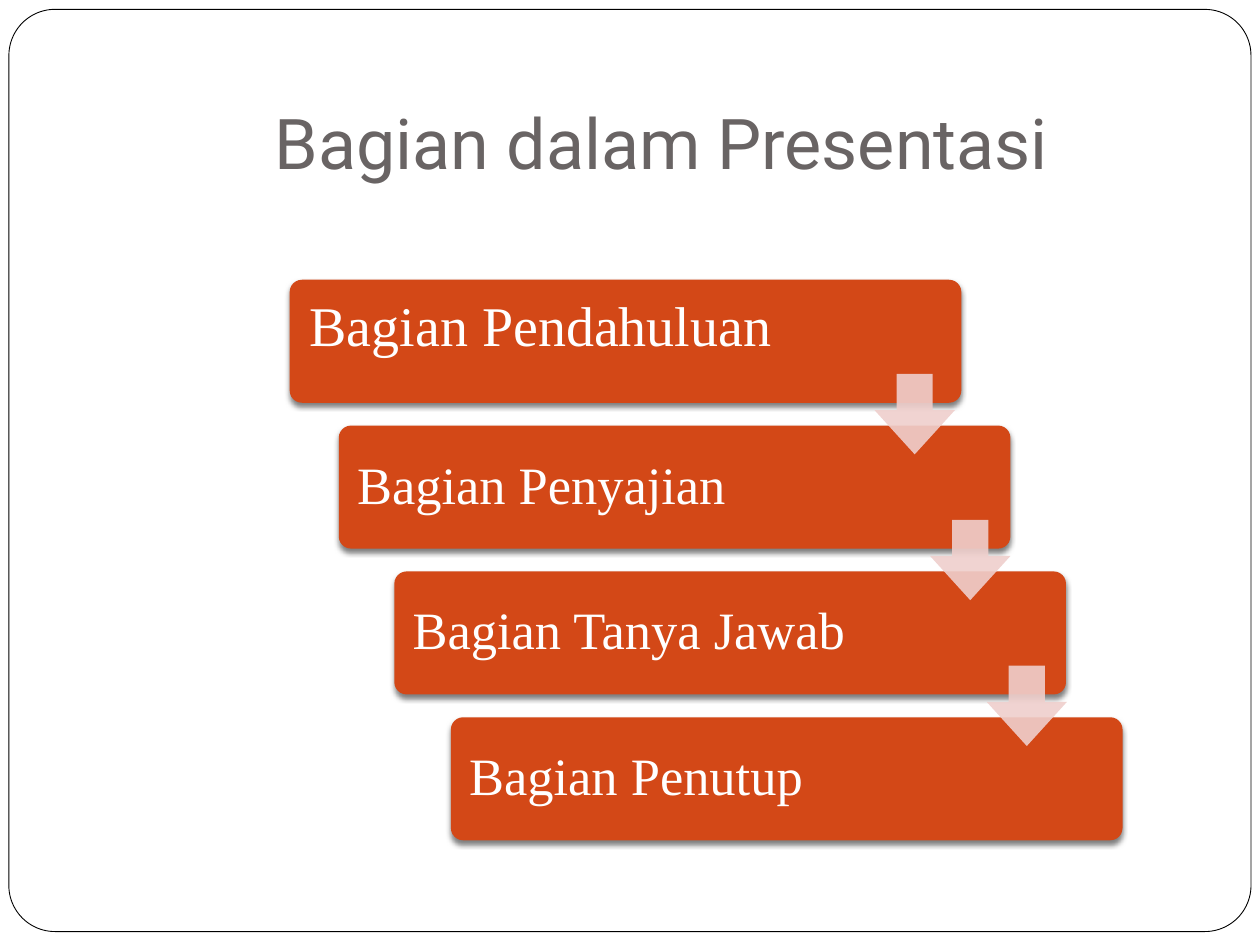
from dataclasses import dataclass

from lxml.etree import SubElement
from pptx import Presentation
from pptx.dml.color import RGBColor
from pptx.enum.shapes import MSO_SHAPE
from pptx.enum.text import MSO_ANCHOR, PP_ALIGN
from pptx.oxml.ns import qn
from pptx.shapes.autoshape import Shape
from pptx.slide import Slide
from pptx.util import Cm, Pt

WHITE = RGBColor(0xFF, 0xFF, 0xFF)
BLACK = RGBColor(0x00, 0x00, 0x00)
GRAY = RGBColor(0x69, 0x64, 0x64)
ORANGE = RGBColor(0xD3, 0x48, 0x17)
PINK = RGBColor(0xEF, 0xCF, 0xCC)

STEP_TOP, STEP_PITCH = 5.64, 2.94
STEP_WIDTH, STEP_HEIGHT = 13.54, 2.48
STEP_PADDING = 0.07
ARROW_SIZE = 1.62
ARROW_SHIFT, ARROW_DROP = 10.8, 1.9


@dataclass(frozen=True)
class Box:
    left: float
    top: float
    width: float
    height: float

    def lengths(self) -> tuple[Cm, Cm, Cm, Cm]:
        return Cm(self.left), Cm(self.top), Cm(self.width), Cm(self.height)


@dataclass(frozen=True)
class Step:
    text: str
    left: float
    size: int = 30
    inset: float = 0.3
    top_inset: float = 0.3
    line_spacing: float = 0.9
    anchor: MSO_ANCHOR = MSO_ANCHOR.MIDDLE


STEPS = [
    Step("Bagian Pendahuluan", 5.84, size=32, inset=0.33, top_inset=0.15,
         line_spacing=1.0, anchor=MSO_ANCHOR.TOP),
    Step("Bagian Penyajian", 6.83),
    Step("Bagian Tanya Jawab", 7.95),
    Step("Bagian Penutup", 9.09),
]


def add_filled_shape(slide: Slide, kind: MSO_SHAPE, box: Box, fill: RGBColor,
                     adjustments: list[float]) -> Shape:
    shape = slide.shapes.add_shape(kind, *box.lengths())
    shape.shadow.inherit = False
    shape.fill.solid()
    shape.fill.fore_color.rgb = fill
    shape.line.fill.background()
    for index, value in enumerate(adjustments):
        shape.adjustments[index] = value
    return shape


def add_text(slide: Slide, text: str, box: Box, *, font: str, size: int,
             color: RGBColor, alignment: PP_ALIGN, anchor: MSO_ANCHOR,
             insets: tuple[float, float, float, float],
             line_spacing: float = 1.0) -> None:
    frame = slide.shapes.add_textbox(*box.lengths()).text_frame
    frame.word_wrap = True
    frame.vertical_anchor = anchor
    (frame.margin_left, frame.margin_top,
     frame.margin_right, frame.margin_bottom) = map(Cm, insets)
    paragraph = frame.paragraphs[0]
    paragraph.alignment = alignment
    paragraph.line_spacing = line_spacing
    run = paragraph.add_run()
    run.text = text
    run.font.name = font
    run.font.size = Pt(size)
    run.font.color.rgb = color


def add_drop_shadow(shape: Shape) -> None:
    effects = shape.element.spPr.find(qn("a:effectLst"))
    shadow = SubElement(effects, qn("a:outerShdw"), blurRad=str(Pt(3)),
                        dist=str(Pt(2)), dir="5400000", rotWithShape="0")
    color = SubElement(shadow, qn("a:srgbClr"), val=str(BLACK))
    SubElement(color, qn("a:alpha"), val="50000")


def add_step(slide: Slide, step: Step, top: float) -> None:
    box = Box(step.left, top, STEP_WIDTH, STEP_HEIGHT)
    shape = add_filled_shape(slide, MSO_SHAPE.ROUNDED_RECTANGLE, box, ORANGE, [0.1])
    add_drop_shadow(shape)
    text_box = Box(step.left + STEP_PADDING, top + STEP_PADDING,
                   10.66, STEP_HEIGHT - 2 * STEP_PADDING)
    add_text(slide, step.text, text_box, font="Times New Roman", size=step.size,
             color=WHITE, alignment=PP_ALIGN.LEFT, anchor=step.anchor,
             insets=(step.inset, step.top_inset, step.inset, step.inset),
             line_spacing=step.line_spacing)


def add_step_arrow(slide: Slide, next_step: Step, top: float) -> None:
    box = Box(next_step.left + ARROW_SHIFT, top + ARROW_DROP, ARROW_SIZE, ARROW_SIZE)
    arrow = add_filled_shape(slide, MSO_SHAPE.DOWN_ARROW, box, PINK, [0.45, 0.55])
    color = arrow.element.spPr.find(qn("a:solidFill")).find(qn("a:srgbClr"))
    SubElement(color, qn("a:alpha"), val="90000")


def main() -> None:
    presentation = Presentation()
    presentation.slide_width = Cm(25.4)
    presentation.slide_height = Cm(19.05)
    slide = presentation.slides.add_slide(presentation.slide_layouts[6])

    border = add_filled_shape(slide, MSO_SHAPE.ROUNDED_RECTANGLE,
                              Box(0.18, 0.19, 25.04, 18.59), WHITE, [0.05])
    border.line.color.rgb = BLACK
    border.line.width = Pt(0.5)

    add_text(slide, "Bagian dalam Presentasi", Box(2.54, 0.76, 21.59, 3.18),
             font="Roboto", size=40, color=GRAY, alignment=PP_ALIGN.CENTER,
             anchor=MSO_ANCHOR.BOTTOM, insets=(0.25, 0.13, 0.25, 0.25))

    tops = [STEP_TOP + index * STEP_PITCH for index in range(len(STEPS))]
    for step, top in zip(STEPS, tops):
        add_step(slide, step, top)
    for next_step, top in zip(STEPS[1:], tops):
        add_step_arrow(slide, next_step, top)

    presentation.save("out.pptx")


if __name__ == "__main__":
    main()
